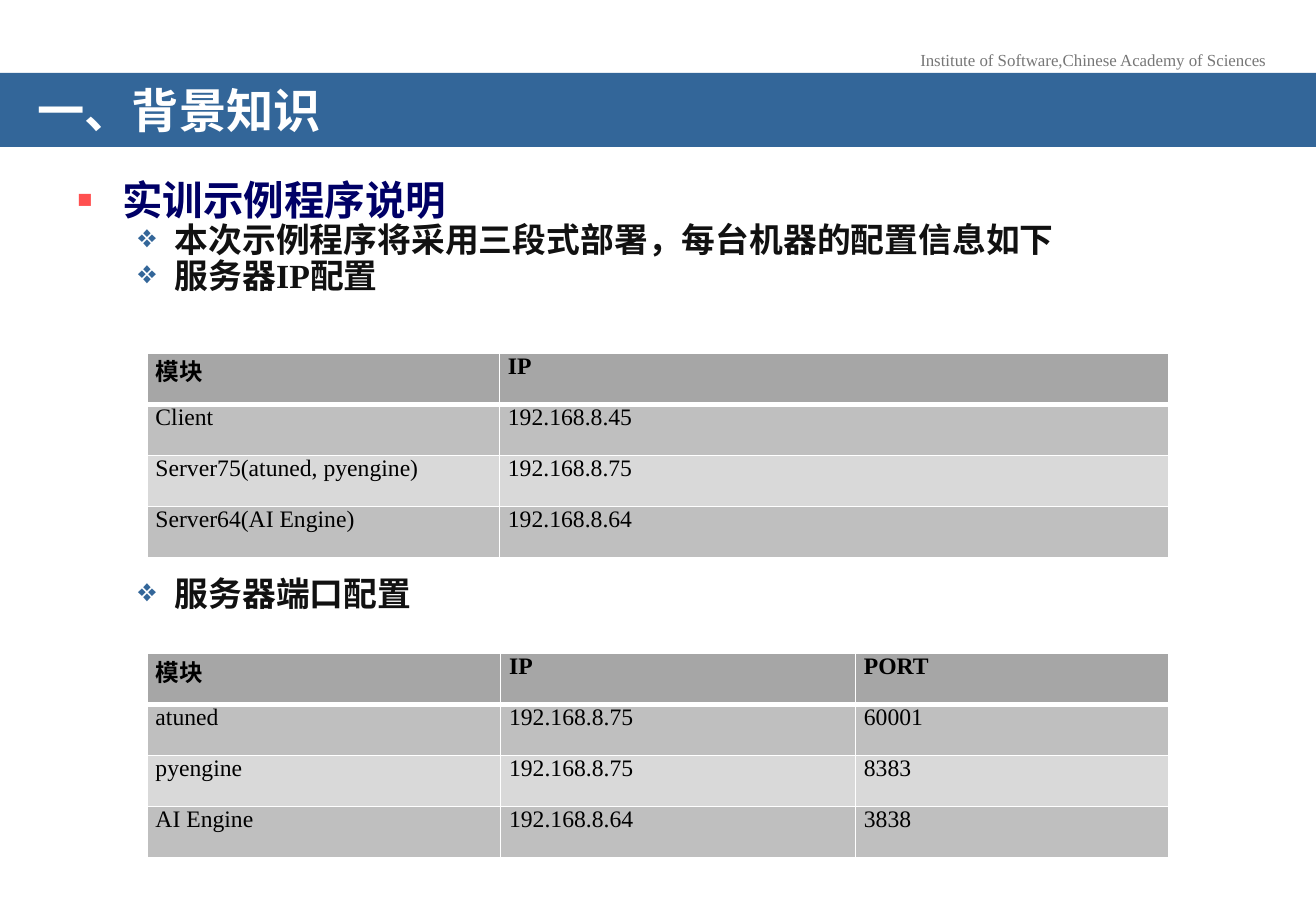
from pptx import Presentation
from pptx.dml.color import RGBColor as Rgb
from pptx.enum.shapes import MSO_SHAPE as Kind
from pptx.enum.text import MSO_ANCHOR as Anchor, PP_ALIGN as Align
from pptx.oxml import parse_xml as parse
from pptx.oxml.ns import nsdecls as names
from pptx.util import Pt

PX = 9144
LATIN, HAN = "Times New Roman", "Noto Sans CJK SC"
COLORS = {
    "white": "FFFFFF", "band": "336699", "grey": "777777", "navy": "000066",
    "ink": "111111", "black": "000000", "red": "FF5050",
    "head": "A6A6A6", "dark": "BFBFBF", "light": "D9D9D9",
}
LEVELS = [
    dict(left=38, hang=38, mark="▪", tint="red", scale=120,
         size=24, color="navy"),
    dict(left=81, hang=31, mark="❖", tint="band", scale=75,
         size=20, color="ink"),
]
HOSTS = [
    ["模块", "IP"],
    ["Client", "192.168.8.45"],
    ["Server75(atuned, pyengine)", "192.168.8.75"],
    ["Server64(AI Engine)", "192.168.8.64"],
]
PORTS = [
    ["模块", "IP", "PORT"],
    ["atuned", "192.168.8.75", "60001"],
    ["pyengine", "192.168.8.75", "8383"],
    ["AI Engine", "192.168.8.64", "3838"],
]


def px(*sizes):
    """Turn px lengths into EMU."""
    return [size * PX for size in sizes]


def tone(name):
    """Return a named colour."""
    return Rgb.from_string(COLORS[name])


def write(para, text, size=14, color="black", bold=False, font=LATIN,
          align=Align.LEFT, line=None, before=0):
    """Fill a paragraph with one formatted run."""
    para.alignment = align
    para.space_before = Pt(before)
    if line:
        para.line_spacing = line
    run = para.add_run()
    run.text = text
    run.font.size, run.font.bold = Pt(size), bold
    run.font.name = font
    run.font.color.rgb = tone(color)
    run.font.fill._xPr.find("{*}latin").addnext(
        parse(f'<a:ea {names("a")} typeface="{HAN}"/>'))


def bullet(para, left, hang, mark, tint, scale):
    """Give a paragraph its indent and bullet."""
    props = para._p.get_or_add_pPr()
    props.set("marL", str(left * PX))
    props.set("indent", str(-hang * PX))
    for part in (
        f'buClr {names("a")}><a:srgbClr val="{COLORS[tint]}"/></a:buClr>',
        f'buSzPct {names("a")} val="{scale * 1000}"/>',
        f'buFont {names("a")} typeface="{LATIN}"/>',
        f'buChar {names("a")} char="{mark}"/>',
    ):
        props.append(parse("<a:" + part))


def banner(slide, box, text):
    """Draw the title band across the slide."""
    band = slide.shapes.add_shape(Kind.RECTANGLE, *px(*box))
    band.shadow.inherit = False
    band.fill.solid()
    band.fill.fore_color.rgb = tone("band")
    band.line.fill.background()
    frame = band.text_frame
    frame.word_wrap = True
    frame.vertical_anchor = Anchor.MIDDLE
    frame.margin_left, frame.margin_top = px(31, 16)
    frame.margin_right, frame.margin_bottom = px(31, 5)
    write(frame.paragraphs[0], text, size=28, color="white", bold=True,
          font=HAN, line=0.7)


def label(slide, box, text):
    """Place the institute name above the band."""
    frame = slide.shapes.add_textbox(*px(*box)).text_frame
    frame.word_wrap = False
    write(frame.paragraphs[0], text, size=10, color="grey",
          align=Align.CENTER)


def points(slide, box, items):
    """Place a list of bullets given as level and text."""
    frame = slide.shapes.add_textbox(*px(*box)).text_frame
    frame.word_wrap = True
    for rank, (level, text) in enumerate(items):
        para = frame.add_paragraph() if rank else frame.paragraphs[0]
        look = dict(LEVELS[level])
        form = {key: look.pop(key) for key in ("size", "color")}
        write(para, text, bold=True, line=0.8,
              before=2 if rank else 0, **form)
        bullet(para, **look)


def edges(cell, row):
    """Draw white cell borders, thick below the header."""
    props = cell._tc.get_or_add_tcPr()
    for side in "LRTB":
        thick = (row, side) in ((0, "B"), (1, "T"))
        props.append(parse(
            f'<a:ln{side} {names("a")} w="{Pt(3 if thick else 1)}">'
            f'<a:solidFill><a:srgbClr val="{COLORS["white"]}"/>'
            f'</a:solidFill></a:ln{side}>'))


def grid(slide, box, widths, rows):
    """Draw a table with a header and banded rows."""
    table = slide.shapes.add_table(len(rows), len(widths), *px(*box)).table
    for col, width in zip(table.columns, px(*widths)):
        col.width = width
    for r, texts in enumerate(rows):
        table.rows[r].height = box[3] * PX // len(rows)
        fill = "head" if r == 0 else "dark" if r % 2 else "light"
        for c, text in enumerate(texts):
            cell = table.cell(r, c)
            cell.margin_left, cell.margin_right = px(7, 7)
            cell.margin_top = cell.margin_bottom = 0
            edges(cell, r)
            cell.fill.solid()
            cell.fill.fore_color.rgb = tone(fill)
            write(cell.text_frame.paragraphs[0], text, bold=r == 0)


def main():
    """Build the slide and save it."""
    deck = Presentation()
    deck.slide_width, deck.slide_height = px(1083, 750)
    slide = deck.slides.add_slide(deck.slide_layouts[6])
    label(slide, (746, 36, 307, 27),
          "Institute of Software,Chinese Academy of Sciences")
    banner(slide, (0, 60, 1083, 61), "一、背景知识")
    points(slide, (53, 147, 976, 125), [
        (0, "实训示例程序说明"),
        (1, "本次示例程序将采用三段式部署，每台机器的配置信息如下"),
        (1, "服务器IP配置"),
    ])
    grid(slide, (121, 291, 841, 168), (290, 551), HOSTS)
    points(slide, (53, 473, 976, 45), [(1, "服务器端口配置")])
    grid(slide, (121, 538, 841, 168), (291, 292, 258), PORTS)
    deck.save("out.pptx")


if __name__ == "__main__":
    main()
